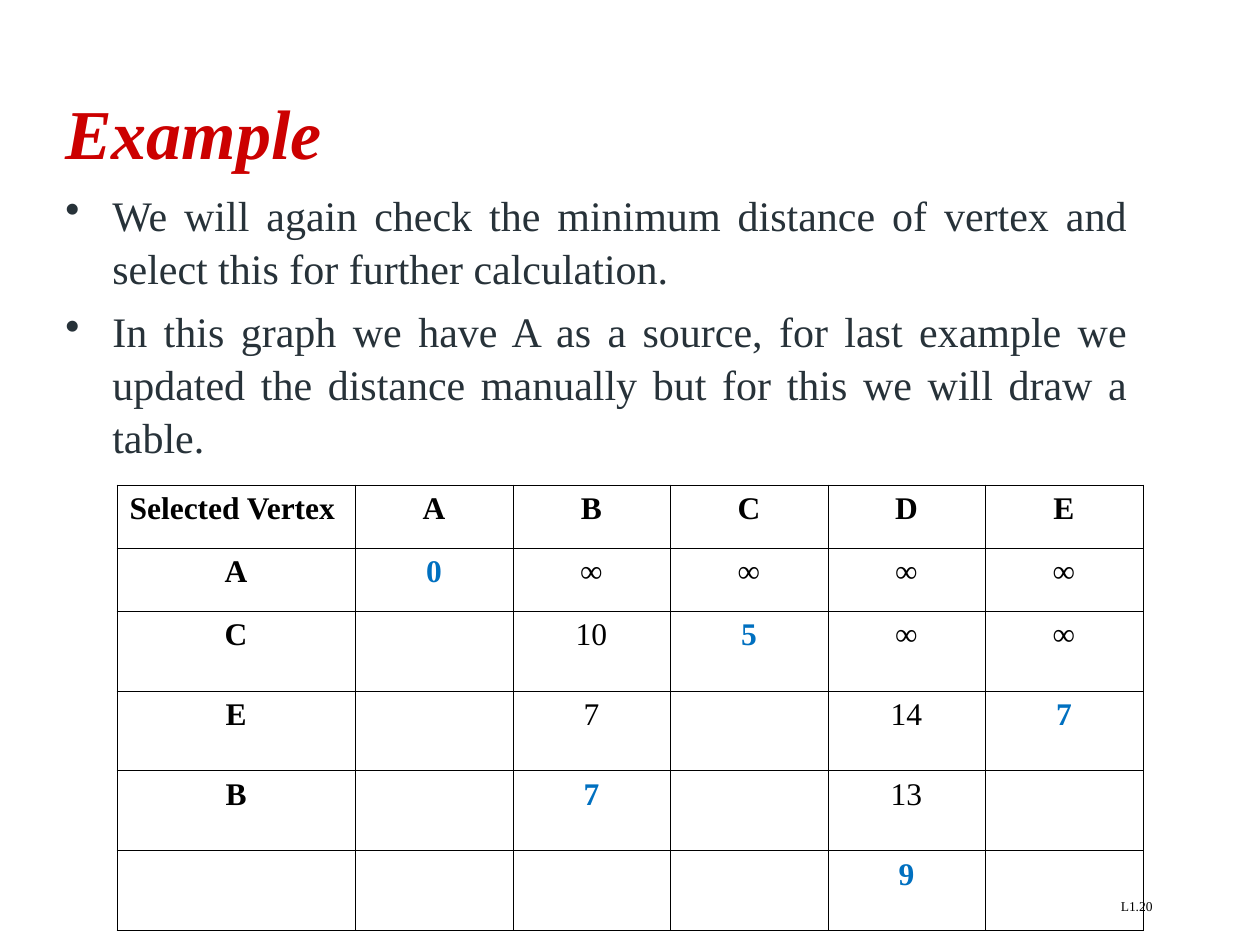
from lxml import etree
from pptx import Presentation
from pptx.dml.color import RGBColor
from pptx.enum.text import MSO_ANCHOR, PP_ALIGN
from pptx.oxml import parse_xml
from pptx.oxml.ns import nsdecls, qn
from pptx.util import Pt

PX = 914400 // 126
FONT = "Times New Roman"
BLACK = RGBColor(0x00, 0x00, 0x00)
RED = RGBColor(0xCC, 0x00, 0x00)
SLATE = RGBColor(0x27, 0x32, 0x39)
BLUE = RGBColor(0x00, 0x70, 0xC0)
LEFT, CENTER, RIGHT, JUSTIFY = PP_ALIGN.LEFT, PP_ALIGN.CENTER, PP_ALIGN.RIGHT, PP_ALIGN.JUSTIFY
MIDDLE = MSO_ANCHOR.MIDDLE


def style(p, size, color, align=LEFT, bold=False, italic=False):
    p.alignment = align
    p.font.name = FONT
    p.font.size = Pt(size)
    p.font.color.rgb = color
    p.font.bold = bold
    p.font.italic = italic


def add_text(x, y, w, h, text):
    tf = s.shapes.add_textbox(x * PX, y * PX, w * PX, h * PX).text_frame
    tf.word_wrap = True
    tf.text = text
    return tf


prs = Presentation()
prs.slide_width = 1260 * PX
prs.slide_height = 945 * PX
s = prs.slides.add_slide(prs.slide_layouts[6])

footer = add_text(903, 892, 262, 32, "L1.20")
style(footer.paragraphs[0], 7.7, BLACK, RIGHT)

title = add_text(53, 53, 1176, 157, "Example")
title.vertical_anchor = MIDDLE
style(title.paragraphs[0], 40, RED, bold=True, italic=True)

body = add_text(53, 181, 1087, 276, "\n".join([
    "We will again check the minimum distance of vertex and select this for further calculation.",
    "In this graph we have A as a source, for last example we updated the distance manually "
    "but for this we will draw a table.",
]))
for p in body.paragraphs:
    style(p, 24, SLATE, JUSTIFY)
    p.space_before = Pt(6)
    p.line_spacing = 1.05
    pPr = p._p.get_or_add_pPr()
    pPr.set("marL", str(47 * PX))
    pPr.set("indent", str(-47 * PX))
    bullet = parse_xml(f'<a:buChar {nsdecls("a")} char="•"/>')
    pPr.find(qn("a:defRPr")).addprevious(bullet)

rows = [
    ["Selected Vertex", "A", "B", "C", "D", "E"],
    ["A", "0", "∞", "∞", "∞", "∞"],
    ["C", "", "10", "5", "∞", "∞"],
    ["E", "", "7", "", "14", "7"],
    ["B", "", "7", "", "13", ""],
    ["", "", "", "", "9", ""],
]
selected = {(1, 1), (2, 3), (3, 5), (4, 2), (5, 4)}
col_edges = [117, 355, 513, 670, 828, 985, 1143]
row_heights = [63, 63, 80, 80, 80, 80]

table = s.shapes.add_table(6, 6, 117 * PX, 485 * PX, 1026 * PX, sum(row_heights) * PX).table
table.first_row = False
table.horz_banding = False
for col, start, end in zip(table.columns, col_edges, col_edges[1:]):
    col.width = (end - start) * PX
for row, height in zip(table.rows, row_heights):
    row.height = height * PX

for r, values in enumerate(rows):
    for c, value in enumerate(values):
        cell = table.cell(r, c)
        cell.text = value
        chosen = (r, c) in selected
        style(cell.text_frame.paragraphs[0], 18, BLUE if chosen else BLACK,
              LEFT if r == c == 0 else CENTER, bold=chosen or r == 0 or c == 0)
        tcPr = cell._tc.get_or_add_tcPr()
        for side in ("lnL", "lnR", "lnT", "lnB"):
            ln = etree.SubElement(tcPr, qn(f"a:{side}"), w=str(Pt(0.45)))
            fill = etree.SubElement(ln, qn("a:solidFill"))
            etree.SubElement(fill, qn("a:srgbClr"), val=str(BLACK))
        cell.fill.background()

prs.save("out.pptx")
